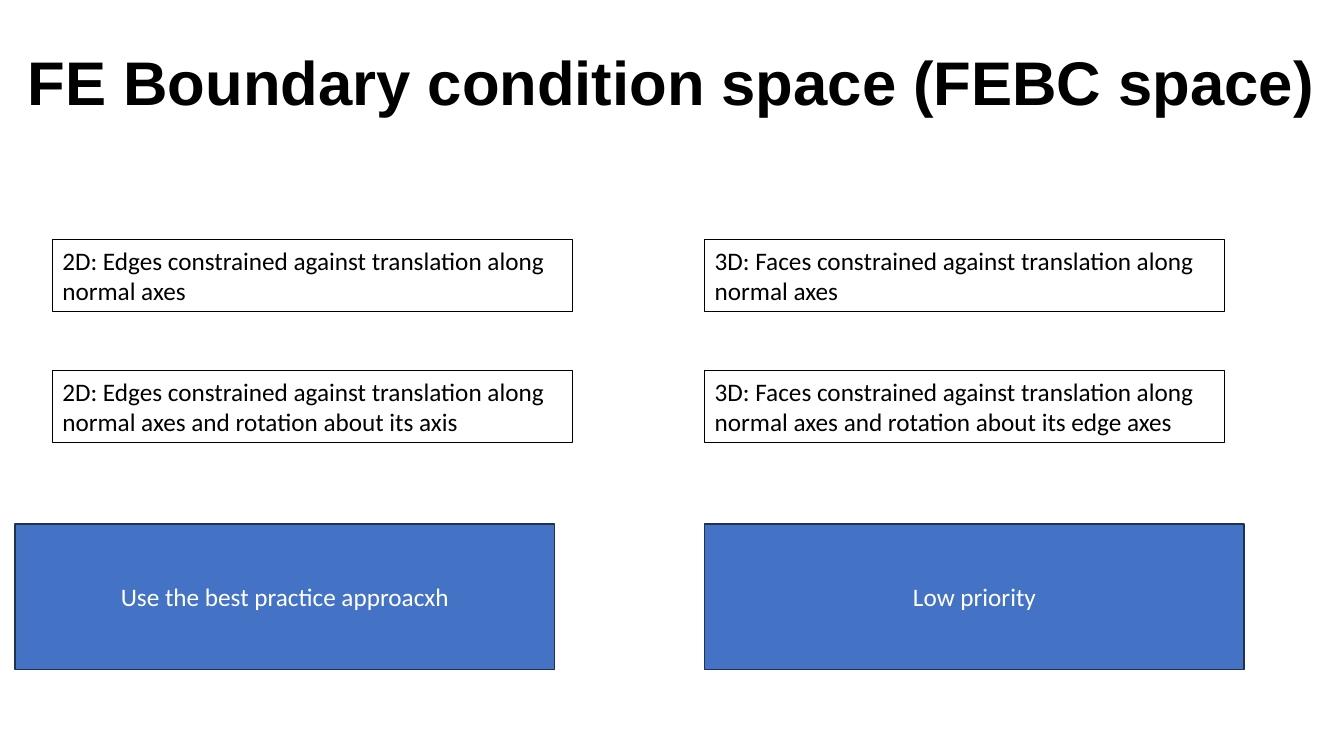
from dataclasses import dataclass
from typing import Optional

from pptx import Presentation
from pptx.dml.color import RGBColor
from pptx.enum.shapes import MSO_SHAPE as Shape
from pptx.enum.text import MSO_ANCHOR as Anchor, MSO_AUTO_SIZE as AutoSize, PP_ALIGN as Align
from pptx.util import Inches, Pt


@dataclass(frozen=True)
class Theme:
    title_font: str = "Arial"
    body_font: str = "Calibri"
    title_size: float = 44
    body_size: float = 18
    black: RGBColor = RGBColor(0x00, 0x00, 0x00)
    white: RGBColor = RGBColor(0xFF, 0xFF, 0xFF)
    blue: RGBColor = RGBColor(0x44, 0x72, 0xC4)
    navy: RGBColor = RGBColor(0x1E, 0x32, 0x56)


THEME = Theme()


@dataclass(frozen=True)
class BoxStyle:
    width: float
    height: float
    fill: Optional[RGBColor]
    line: RGBColor
    line_width: float
    text_color: RGBColor
    align: Align
    anchor: Anchor
    auto_size: AutoSize


@dataclass(frozen=True)
class Column:
    condition_left: float
    verdict_left: float
    conditions: tuple[str, ...]
    verdict: str


CONDITION = BoxStyle(5.16, 0.71, None, THEME.black, 0.75, THEME.black,
                     Align.LEFT, Anchor.TOP, AutoSize.SHAPE_TO_FIT_TEXT)
VERDICT = BoxStyle(5.35, 1.44, THEME.blue, THEME.navy, 1, THEME.white,
                   Align.CENTER, Anchor.MIDDLE, AutoSize.NONE)

CONDITION_TOP = 2.38
CONDITION_STEP = 1.3
VERDICT_TOP = 5.2

COLUMNS = (
    Column(0.52, 0.15, (
        "2D: Edges constrained against translation along normal axes",
        "2D: Edges constrained against translation along normal axes and rotation about its axis",
    ), "Use the best practice approacxh"),
    Column(6.99, 6.99, (
        "3D: Faces constrained against translation along normal axes",
        "3D: Faces constrained against translation along normal axes and rotation about its edge axes",
    ), "Low priority"),
)


def write_text(shape, text: str, font: str, size: float, color: RGBColor,
               align: Align, anchor: Anchor, bold: bool = False):
    """Write one wrapped paragraph and return it."""
    frame = shape.text_frame
    frame.word_wrap = True
    frame.vertical_anchor = anchor
    paragraph = frame.paragraphs[0]
    paragraph.alignment = align
    run = paragraph.add_run()
    run.text = text
    run.font.name = font
    run.font.size = Pt(size)
    run.font.bold = bold
    run.font.color.rgb = color
    return paragraph


def add_title(slide, text: str) -> None:
    title = slide.shapes.add_textbox(Inches(0), Inches(0.13), Inches(13.33), Inches(1.44))
    paragraph = write_text(title, text, THEME.title_font, THEME.title_size, THEME.black,
                           Align.CENTER, Anchor.MIDDLE, bold=True)
    paragraph.line_spacing = 0.9


def add_box(slide, left: float, top: float, text: str, style: BoxStyle) -> None:
    box = slide.shapes.add_shape(Shape.RECTANGLE, Inches(left), Inches(top),
                                 Inches(style.width), Inches(style.height))
    box.shadow.inherit = False
    if style.fill is None:
        box.fill.background()
    else:
        box.fill.solid()
        box.fill.fore_color.rgb = style.fill
    box.line.color.rgb = style.line
    box.line.width = Pt(style.line_width)
    write_text(box, text, THEME.body_font, THEME.body_size, style.text_color,
               style.align, style.anchor)
    box.text_frame.auto_size = style.auto_size


def main() -> None:
    presentation = Presentation()
    presentation.slide_width = Inches(13.33)
    presentation.slide_height = Inches(7.5)
    slide = presentation.slides.add_slide(presentation.slide_layouts[6])

    # Title
    add_title(slide, "FE Boundary condition space (FEBC space)")

    # Boundary conditions for 2D and 3D
    for column in COLUMNS:
        for row, condition in enumerate(column.conditions):
            add_box(slide, column.condition_left, CONDITION_TOP + row * CONDITION_STEP,
                    condition, CONDITION)

    # Verdict below each column
    for column in COLUMNS:
        add_box(slide, column.verdict_left, VERDICT_TOP, column.verdict, VERDICT)

    presentation.save("out.pptx")


if __name__ == "__main__":
    main()
